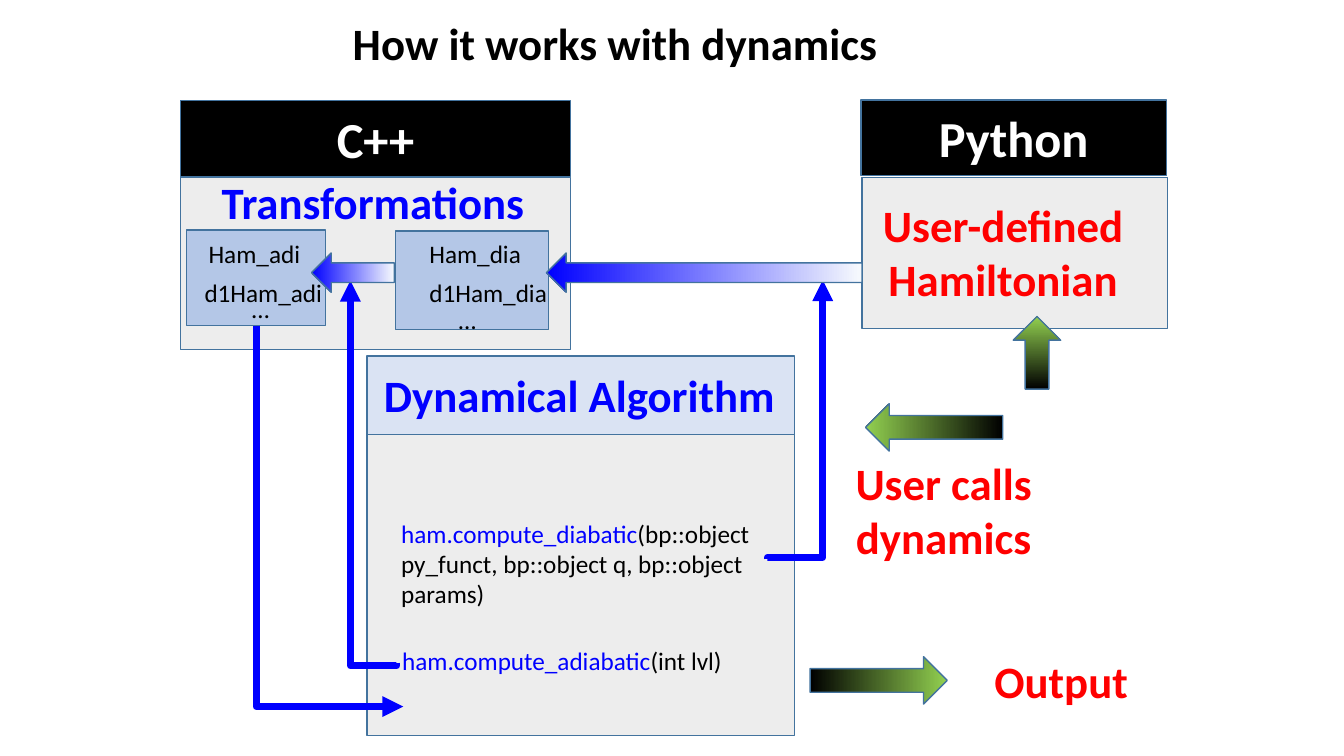
from dataclasses import dataclass

from lxml import etree
from pptx import Presentation
from pptx import util as u
from pptx.dml.color import RGBColor
from pptx.enum import shapes, text
from pptx.oxml.ns import qn


@dataclass(frozen=True)
class Theme:
    font: str = "Calibri"
    black: str = "000000"
    white: str = "FFFFFF"
    blue: str = "0000FF"
    red: str = "FF0000"
    green: str = "92D050"
    pale: str = "F7FAFD"
    outline: str = "43739E"
    panel: str = "EDEDED"
    header: str = "DAE3F3"
    data: str = "B4C7E7"
    body: int = 18
    heading: int = 32
    banner: int = 36
    thin: int = 1
    thick: int = 5


class Diagram:
    def __init__(self, slide, theme):
        self.s = slide
        self.t = theme

    def group(self):
        return self.s.shapes.add_group_shape().shapes

    def add_text(self, tf, paragraphs, size, bold, center):
        for i, runs in enumerate(paragraphs):
            p = tf.paragraphs[0] if i == 0 else tf.add_paragraph()
            p.alignment = text.PP_ALIGN.CENTER if center else text.PP_ALIGN.LEFT
            for words, color in runs:
                r = p.add_run()
                r.text = words
                r.font.name = self.t.font
                r.font.size = u.Pt(size)
                r.font.bold = bold
                r.font.color.rgb = RGBColor.from_string(color)

    def shape(self, kind, box, into=None):
        sp = (into or self.s.shapes).add_shape(kind, *map(u.Inches, box))
        sp.shadow.inherit = False
        sp.line.color.rgb = RGBColor.from_string(self.t.outline)
        sp.line.width = u.Pt(self.t.thin)
        return sp

    def panel(self, box, fill, into=None):
        sp = self.shape(shapes.MSO_SHAPE.RECTANGLE, box, into)
        sp.fill.solid()
        sp.fill.fore_color.rgb = RGBColor.from_string(fill)
        return sp

    def banner(self, box, words):
        tf = self.panel(box, self.t.black).text_frame
        tf.vertical_anchor = text.MSO_ANCHOR.MIDDLE
        self.add_text(tf, [[(words, self.t.white)]], self.t.banner, True, True)

    def label(self, box, paragraphs, size, bold=False, center=False, wrap=False, into=None):
        sp = (into or self.s.shapes).add_textbox(*map(u.Inches, box))
        tf = sp.text_frame
        tf.word_wrap = wrap
        tf.auto_size = text.MSO_AUTO_SIZE.SHAPE_TO_FIT_TEXT
        self.add_text(tf, paragraphs, size, bold, center)

    def heading(self, box, lines, color, center=False, wrap=False, into=None):
        paragraphs = [[(line, color)] for line in lines]
        self.label(box, paragraphs, self.t.heading, True, center, wrap, into)

    def data_box(self, box, entries):
        members = self.group()
        self.panel(box, self.t.data, members)
        for words, place in entries:
            self.label(place, [[(words, self.t.black)]], self.t.body, into=members)

    def block_arrow(self, kind, box, rotation, colors, angle):
        sp = self.shape(kind, box)
        sp.rotation = rotation
        sp.fill.gradient()
        sp.fill.gradient_angle = angle
        for stop, color, position in zip(sp.fill.gradient_stops, colors, (0, 1)):
            stop.color.rgb = RGBColor.from_string(color)
            stop.position = position

    def data_arrow(self, box):
        self.block_arrow(shapes.MSO_SHAPE.RIGHT_ARROW, box, 180,
                         (self.t.pale, self.t.blue), 0)

    def user_arrow(self, box, rotation):
        self.block_arrow(shapes.MSO_SHAPE.DOWN_ARROW, box, rotation,
                         (self.t.black, self.t.green), 270)

    def elbow(self, box, rotation, flips, preset, adjust=None):
        x, y, w, h = box
        cx = self.s.shapes.add_connector(
            shapes.MSO_CONNECTOR.ELBOW, *map(u.Inches, (x, y, x + w, y + h)))
        cx.line.color.rgb = RGBColor.from_string(self.t.blue)
        cx.line.width = u.Pt(self.t.thick)
        props = cx._element.spPr
        frame = props.find(qn("a:xfrm"))
        frame.set("rot", str(rotation * 60000))
        for flip in flips:
            frame.set("flip" + flip, "1")
        geometry = props.find(qn("a:prstGeom"))
        geometry.set("prst", preset)
        if adjust is not None:
            guide = etree.SubElement(geometry.find(qn("a:avLst")), qn("a:gd"))
            guide.set("name", "adj1")
            guide.set("fmla", f"val {adjust}")
        etree.SubElement(props.find(qn("a:ln")), qn("a:tailEnd")).set("type", "triangle")
        etree.SubElement(props, qn("a:effectLst"))


def main():
    prs = Presentation()
    prs.slide_width = u.Inches(13.33)
    prs.slide_height = u.Inches(7.5)
    t = Theme()
    d = Diagram(prs.slides.add_slide(prs.slide_layouts[6]), t)

    d.panel((3.64, 3.53, 4.24, 0.79), t.header)
    d.panel((3.64, 4.31, 4.24, 2.99), t.panel)
    d.label((3.88, 5.09, 3.71, 1.01),
            [[("ham.compute_diabatic", t.blue),
              ("(bp::object py_funct, bp::object q, bp::object params)", t.black)]],
            t.body, wrap=True)
    d.label((3.89, 6.35, 3.41, 0.4),
            [[("ham.compute_adiabatic", t.blue), ("(int lvl)", t.black)]], t.body)

    d.panel((1.79, 1.76, 3.87, 1.71), t.panel)
    d.data_box((3.92, 2.29, 1.52, 0.98),
               [("Ham_dia", (4.16, 2.32, 1.12, 0.4)),
                ("d1Ham_dia", (4.16, 2.7, 1.38, 0.4)),
                ("…", (4.45, 2.97, 0.38, 0.4))])
    d.data_box((1.85, 2.28, 1.38, 0.95),
               [("Ham_adi", (1.97, 2.32, 1.12, 0.4)),
                ("d1Ham_adi", (1.93, 2.7, 1.38, 0.4)),
                ("…", (2.4, 2.86, 0.38, 0.4))])

    d.elbow((6.5, 3.89, 2.77, 0.55), 90, "HV", "bentConnector3", 700)
    d.elbow((1.81, 4.45, 3.79, 0.46), 270, "V", "bentConnector3", -800)
    d.data_arrow((3.09, 2.51, 0.82, 0.39))

    hamiltonian = d.group()
    d.panel((8.55, 1.76, 3.03, 1.5), t.panel, hamiltonian)
    d.heading((8.64, 1.91, 2.62, 1.18), ["User-defined", "Hamiltonian"], t.red,
              center=True, into=hamiltonian)

    d.elbow((1.38, 4.39, 3.78, 1.46), 270, "H", "bentConnector2")
    d.banner((8.54, 0.99, 3.03, 0.75), "Python")
    d.banner((1.79, 1, 3.87, 0.75), "C++")
    d.heading((3.71, 3.6, 4.11, 0.64), ["Dynamical Algorithm"], t.blue)
    d.heading((8, 4.47, 2.72, 1.18), ["User calls dynamics"], t.red, center=True, wrap=True)
    d.data_arrow((5.42, 2.51, 3.13, 0.39))
    d.user_arrow((10.05, 3.14, 0.47, 0.72), 180)
    d.heading((2.1, 1.68, 3.23, 0.64), ["Transformations"], t.blue)
    d.user_arrow((9.03, 3.56, 0.47, 1.36), 90)
    d.user_arrow((8.48, 6.07, 0.47, 1.36), 270)
    d.heading((9.5, 6.44, 2.05, 0.64), ["Output"], t.red, center=True, wrap=True)
    d.heading((3.4, 0.11, 5.45, 0.64), ["How it works with dynamics"], t.black)

    prs.save("out.pptx")


if __name__ == "__main__":
    main()
